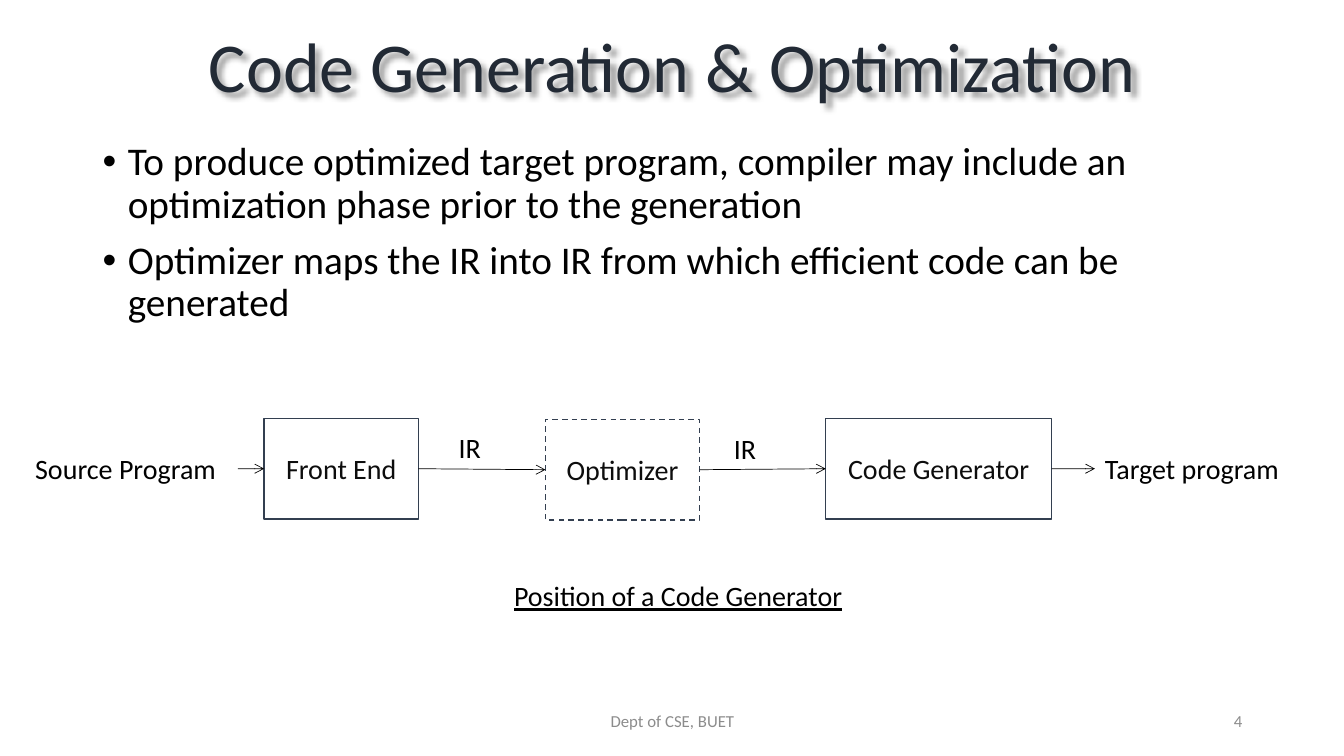
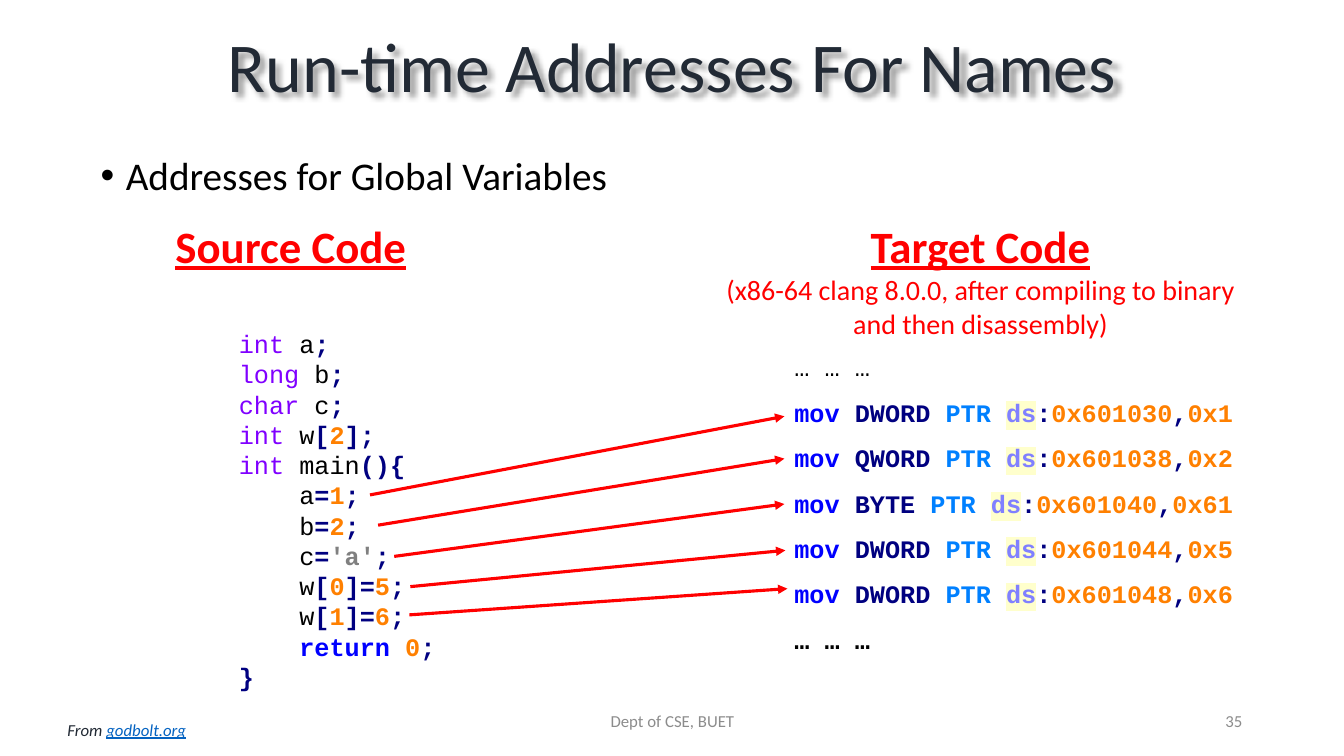
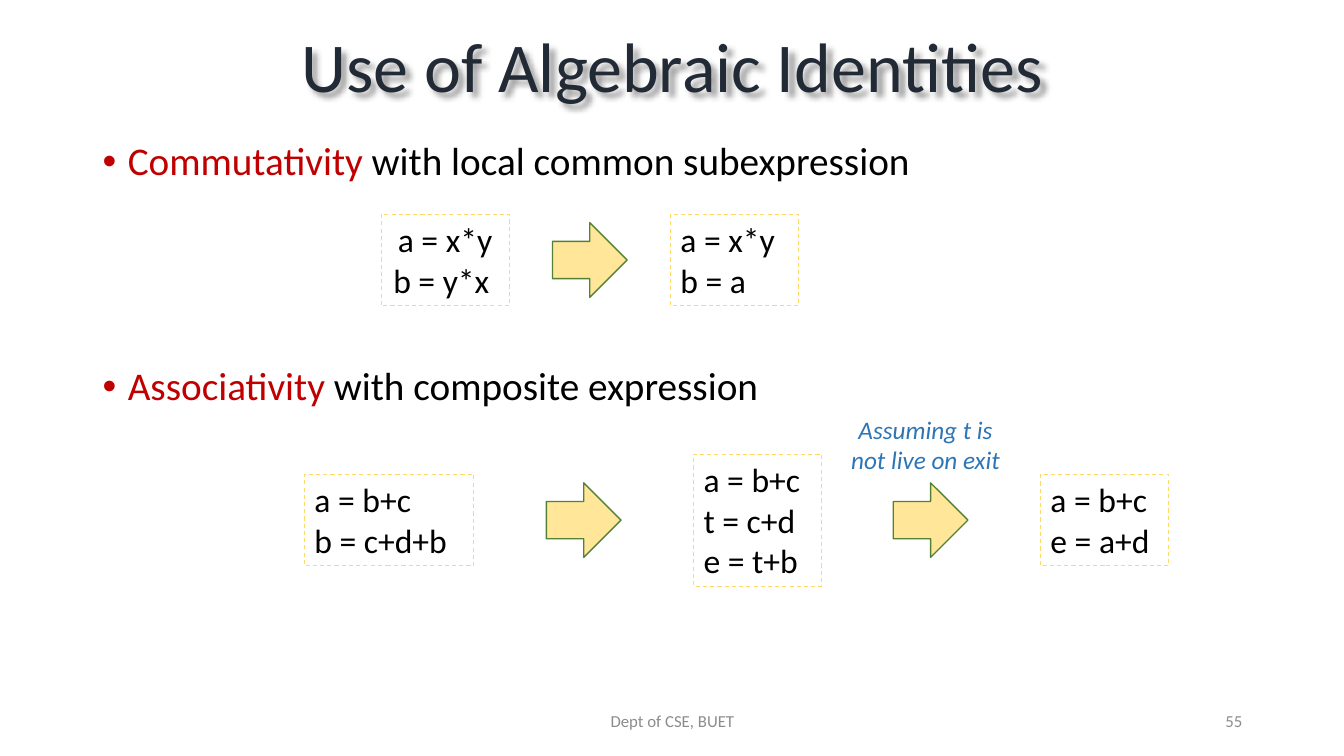
from dataclasses import dataclass, replace

from lxml import etree
from pptx import Presentation
from pptx.dml.color import RGBColor
from pptx.enum.dml import MSO_LINE
from pptx.enum.shapes import MSO_CONNECTOR, MSO_SHAPE
from pptx.enum.text import MSO_ANCHOR, PP_ALIGN
from pptx.oxml.ns import qn
from pptx.util import Inches, Pt

LEFT, CENTER, RIGHT = PP_ALIGN.LEFT, PP_ALIGN.CENTER, PP_ALIGN.RIGHT
TOP, MIDDLE = MSO_ANCHOR.TOP, MSO_ANCHOR.MIDDLE
DASH = MSO_LINE.DASH
STRAIGHT = MSO_CONNECTOR.STRAIGHT
RECTANGLE, RIGHT_ARROW = MSO_SHAPE.RECTANGLE, MSO_SHAPE.RIGHT_ARROW
LEFT_SIDE, RIGHT_SIDE = 1, 3


@dataclass(frozen=True)
class Style:
    size: float
    color: str
    font: str = "Calibri"
    bold: bool = False
    italic: bool = False
    underline: bool = False
    highlight: str = ""


@dataclass(frozen=True)
class Theme:
    title: Style = Style(50, "222A35")
    body: Style = Style(28, "000000")
    term: Style = Style(28, "C00000")
    footer: Style = Style(12, "8C8C8C")
    label: Style = Style(20, "000000")
    stage: Style = Style(20, "0D0D0D")
    caption: Style = Style(20, "000000", underline=True)
    heading: Style = Style(32, "FF0000", bold=True, underline=True)
    subheading: Style = Style(20, "FF0000")
    credit: Style = Style(12, "222A35", italic=True)
    address: Style = Style(12, "0563C1", italic=True, underline=True)
    expression: Style = Style(24, "000000")
    remark: Style = Style(18, "2E75B6", italic=True)
    code: Style = Style(18, "000000", "Courier New")
    stage_line: str = "333F50"
    flow_line: str = "000000"
    mapping_line: str = "FF0000"
    expression_line: str = "FFD966"
    arrow_fill: str = "FFE699"
    arrow_line: str = "548235"


THEME = Theme()
PLAIN = THEME.code
BOLD = replace(PLAIN, bold=True)
TYPE = replace(PLAIN, color="8000FF")
KEYWORD = replace(BOLD, color="0000FF")
MARK = replace(BOLD, color="000080")
NUMBER = replace(BOLD, color="FF8000")
CHARACTER = replace(BOLD, color="808080")
POINTER = replace(BOLD, color="0080FF")
SEGMENT = replace(BOLD, color="8080FF", highlight="FFFFCC")


def color(value):
    return RGBColor.from_string(value)


def add_run(paragraph, text, style):
    run = paragraph.add_run()
    run.text = text
    font = run.font
    font.name = style.font
    font.size = Pt(style.size)
    font.bold = style.bold
    font.italic = style.italic
    font.underline = style.underline
    font.color.rgb = color(style.color)
    if style.highlight:
        highlight = etree.Element(qn("a:highlight"))
        etree.SubElement(highlight, qn("a:srgbClr"), val=style.highlight)
        run.font.fill._xPr.find(qn("a:solidFill")).addnext(highlight)


def fill_text(shape, lines, align=LEFT, anchor=TOP, spacing=None):
    frame = shape.text_frame
    frame.word_wrap = True
    frame.vertical_anchor = anchor
    for index, runs in enumerate(lines):
        paragraph = frame.add_paragraph() if index else frame.paragraphs[0]
        paragraph.alignment = align
        if spacing:
            paragraph.line_spacing = spacing
        for text, style in runs:
            add_run(paragraph, text, style)


def add_text(slide, box, lines, **layout):
    shape = slide.shapes.add_textbox(*map(Inches, box))
    fill_text(shape, lines, **layout)
    return shape


def add_label(slide, box, text, style, **layout):
    return add_text(slide, box, [[(text, style)]], **layout)


def add_bullets(slide, box, lines):
    shape = add_text(slide, box, lines, spacing=0.9)
    for index, paragraph in enumerate(shape.text_frame.paragraphs):
        if index:
            paragraph.space_before = Pt(10)
        properties = paragraph._p.get_or_add_pPr()
        properties.set("marL", str(Inches(0.25)))
        properties.set("indent", str(Inches(-0.25)))
        etree.SubElement(properties, qn("a:buFont"), typeface="Arial")
        etree.SubElement(properties, qn("a:buChar"), char="•")


def add_outline(slide, kind, box, line_color, width, fill=None, dash=None):
    shape = slide.shapes.add_shape(kind, *map(Inches, box))
    shape.shadow.inherit = False
    if fill:
        shape.fill.solid()
        shape.fill.fore_color.rgb = color(fill)
    else:
        shape.fill.background()
    shape.line.color.rgb = color(line_color)
    shape.line.width = Pt(width)
    if dash:
        shape.line.dash_style = dash
    return shape


def add_arrow(slide, start, end, line_color, width, head):
    connector = slide.shapes.add_connector(STRAIGHT, *map(Inches, start + end))
    connector.line.color.rgb = color(line_color)
    connector.line.width = Pt(width)
    properties = connector._element.spPr
    etree.SubElement(properties.find(qn("a:ln")), qn("a:tailEnd"), type=head)
    etree.SubElement(properties, qn("a:effectLst"))
    return connector


def add_title_shadow(shape):
    effects = etree.SubElement(shape._element.spPr, qn("a:effectLst"))
    shadow = etree.SubElement(
        effects, qn("a:outerShdw"), blurRad=str(Pt(4)), dist=str(Pt(4)),
        dir="2700000", algn="tl", rotWithShape="0")
    black = etree.SubElement(shadow, qn("a:srgbClr"), val="000000")
    etree.SubElement(black, qn("a:alpha"), val="40000")


def add_slide(presentation, title, number):
    slide = presentation.slides.add_slide(presentation.slide_layouts[6])
    heading = add_label(slide, (0.92, 0.02, 11.5, 1.34), title, THEME.title,
                        align=CENTER, anchor=MIDDLE, spacing=0.9)
    add_title_shadow(heading)
    add_label(slide, (4.42, 6.95, 4.5, 0.4), "Dept of CSE, BUET", THEME.footer,
              align=CENTER, anchor=MIDDLE)
    add_label(slide, (9.42, 6.95, 3, 0.4), str(number), THEME.footer,
              align=RIGHT, anchor=MIDDLE)
    return slide


def add_stage(slide, left, top, width, text, dash=None):
    shape = add_outline(slide, RECTANGLE, (left, top, width, 1),
                        THEME.stage_line, 1, dash=dash)
    fill_text(shape, [[(text, THEME.stage)]], align=CENTER, anchor=MIDDLE)
    return shape


def build_generation(presentation):
    slide = add_slide(presentation, "Code Generation & Optimization", 4)
    add_bullets(slide, (0.92, 1.36, 11.5, 5.39), [
        [("To produce optimized target program, compiler may include an "
          "optimization phase prior to the generation", THEME.body)],
        [("Optimizer maps the IR into IR from which efficient code can be "
          "generated", THEME.body)],
    ])
    flow = [
        add_label(slide, (0.25, 4.43, 2.11, 0.44), "Source Program", THEME.label),
        add_stage(slide, 2.62, 4.15, 1.53, "Front End"),
        add_stage(slide, 5.41, 4.16, 1.53, "Optimizer", DASH),
        add_stage(slide, 8.19, 4.15, 2.24, "Code Generator"),
        add_label(slide, (10.86, 4.43, 2.21, 0.44), "Target program", THEME.label),
    ]
    for source, target in zip(flow, flow[1:]):
        arrow = add_arrow(slide, (0, 0), (1, 1), THEME.flow_line, 0.5, "arrow")
        arrow.begin_connect(source, RIGHT_SIDE)
        arrow.end_connect(target, LEFT_SIDE)
    for left, top in ((4.45, 4.22), (7.18, 4.23)):
        add_label(slide, (left, top, 0.73, 0.44), "IR", THEME.label)
    add_label(slide, (5, 5.69, 3.6, 0.44), "Position of a Code Generator",
              THEME.caption)


def declaration(kind, name):
    return [(kind, TYPE), (f" {name}", PLAIN), (";", MARK)]


def assignment(name, value, style=NUMBER):
    return [(f"    {name}", PLAIN), ("=", MARK), (value, style), (";", MARK)]


def element_assignment(index, value):
    return [("    w", PLAIN), ("[", MARK), (index, NUMBER), ("]=", MARK),
            (value, NUMBER), (";", MARK)]


def move(size, address, value):
    return [(" ", PLAIN), ("mov", KEYWORD), (" ", BOLD), (size, MARK),
            (" ", BOLD), ("PTR", POINTER), (" ", BOLD), ("ds", SEGMENT),
            (":", MARK), (address, NUMBER), (",", MARK), (value, NUMBER)]


def build_addresses(presentation):
    slide = add_slide(presentation, "Run-time Addresses For Names", 35)
    add_bullets(slide, (0.9, 1.5, 11.5, 0.69),
                [[("Addresses for Global Variables", THEME.body)]])
    add_label(slide, (1.46, 2.12, 2.85, 0.64), "Source Code", THEME.heading,
              align=CENTER)
    add_text(slide, (7.04, 2.12, 5.37, 1.31), [
        [("Target Code", THEME.heading)],
        [("(x86-64 clang 8.0.0, after compiling to binary and then disassembly)",
          THEME.subheading)],
    ], align=CENTER)
    add_text(slide, (2.27, 3.21, 3.38, 3.74), [
        declaration("int", "a"),
        declaration("long", "b"),
        declaration("char", "c"),
        [("int", TYPE), (" w", PLAIN), ("[", MARK), ("2", NUMBER), ("];", MARK)],
        [("int", TYPE), (" main", PLAIN), ("(){", MARK)],
        assignment("a", "1"),
        assignment("b", "2"),
        assignment("c", "'a'", CHARACTER),
        element_assignment("0", "5"),
        element_assignment("1", "6"),
        [("    ", PLAIN), ("return", KEYWORD), (" ", BOLD), ("0", NUMBER),
         (";", MARK)],
        [("}", MARK)],
    ])
    add_text(slide, (7.63, 3.29, 5.03, 3.28), [
        [(" … … …", PLAIN)],
        move("DWORD", "0x601030", "0x1"),
        move("QWORD", "0x601038", "0x2"),
        move("BYTE", "0x601040", "0x61"),
        move("DWORD", "0x601044", "0x5"),
        move("DWORD", "0x601048", "0x6"),
        [(" … … …", BOLD)],
    ], spacing=1.5)
    mappings = [
        ((3.67, 4.91), (7.78, 4.13)),
        ((3.75, 5.21), (7.78, 4.55)),
        ((3.91, 5.52), (7.78, 5)),
        ((4.07, 5.82), (7.79, 5.46)),
        ((4.06, 6.1), (7.81, 5.84)),
    ]
    for start, end in mappings:
        add_arrow(slide, start, end, THEME.mapping_line, 2.25, "triangle")
    add_text(slide, (0.57, 7.09, 1.43, 0.3),
             [[("From ", THEME.credit), ("godbolt.org", THEME.address)]])


def add_expression(slide, left, middle, lines, width=1.27, align=LEFT):
    height = 0.4 * len(lines) + 0.11
    shape = add_outline(slide, RECTANGLE, (left, middle - height / 2, width, height),
                        THEME.expression_line, 0.75, dash=DASH)
    fill_text(shape, [[(line, THEME.expression)] for line in lines], align=align)


def add_step(slide, left, middle):
    size = 0.74
    add_outline(slide, RIGHT_ARROW, (left, middle - size / 2, size, size),
                THEME.arrow_line, 1, fill=THEME.arrow_fill)


def build_identities(presentation):
    slide = add_slide(presentation, "Use of Algebraic Identities", 55)
    laws = [
        (1.36, "Commutativity ", "with local common subexpression"),
        (3.59, "Associativity ", "with composite expression"),
    ]
    for top, law, rest in laws:
        add_bullets(slide, (0.92, top, 11.93, 0.6),
                    [[(law, THEME.term), (rest, THEME.body)]])

    commutative, associative = 2.58, 5.16
    add_expression(slide, 3.78, commutative, ["a = x*y", "b = y*x "], align=CENTER)
    add_step(slide, 5.48, commutative)
    add_expression(slide, 6.65, commutative, ["a = x*y", "b = a"])

    add_expression(slide, 3.02, associative, ["a = b+c", "b = c+d+b"], width=1.68)
    add_step(slide, 5.42, associative)
    add_expression(slide, 6.88, associative, ["a = b+c", "t = c+d", "e = t+b"])
    add_step(slide, 8.86, associative)
    add_expression(slide, 10.32, associative, ["a = b+c", "e = a+d"])
    add_label(slide, (8.23, 4.06, 1.9, 0.71), "Assuming t is not live on exit",
              THEME.remark, align=CENTER)


def main():
    presentation = Presentation()
    presentation.slide_width = Inches(13.33)
    presentation.slide_height = Inches(7.5)
    build_generation(presentation)
    build_addresses(presentation)
    build_identities(presentation)
    presentation.save("out.pptx")


if __name__ == "__main__":
    main()
